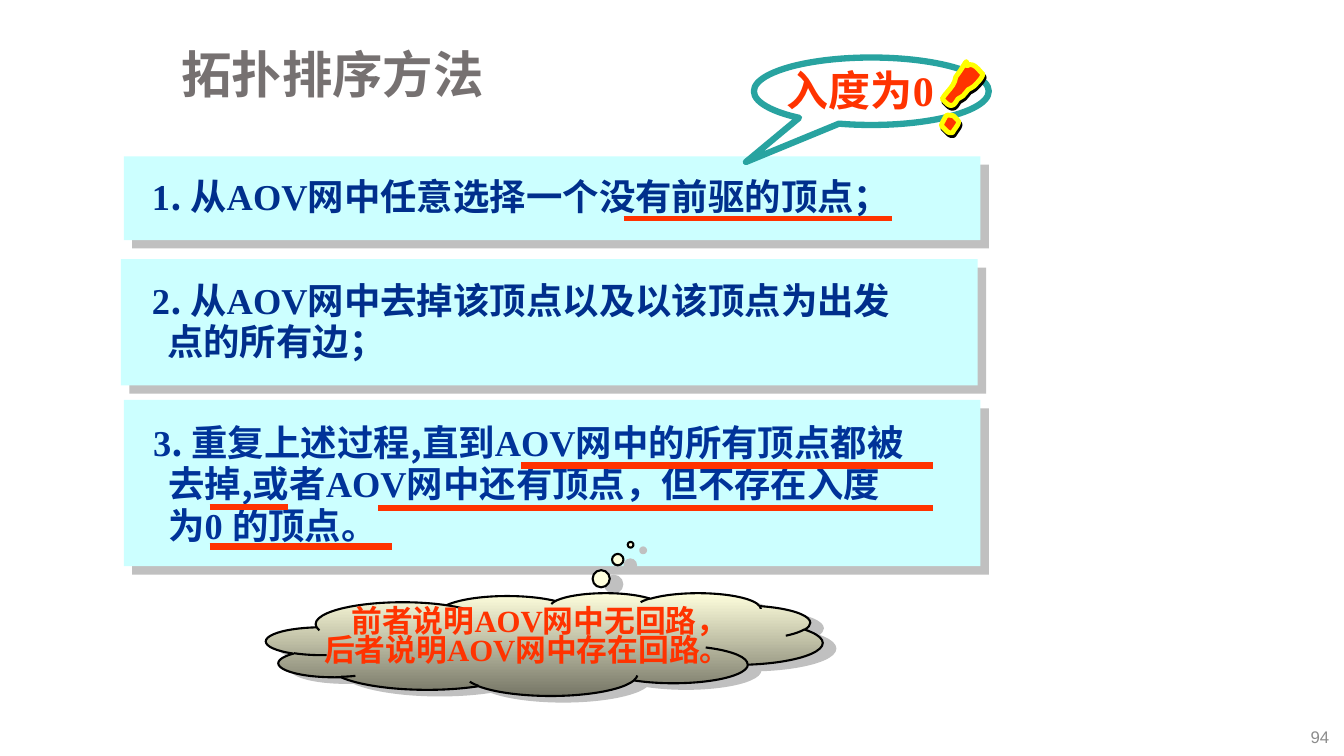
"""Build a slide on the topological sorting method."""
from lxml.etree import SubElement
from pptx import Presentation
from pptx.dml.color import RGBColor
from pptx.enum.shapes import MSO_CONNECTOR as Link, MSO_SHAPE as Shape
from pptx.enum.text import MSO_ANCHOR as Anchor, PP_ALIGN as Align
from pptx.oxml.ns import qn
from pptx.util import Cm, Pt

COLORS = {"title": "767171", "number": "8C8C8C", "panel": "CCFFFF", "shade": "C0C0C0",
          "navy": "002F8C", "blue": "003399", "red": "FF3300", "teal": "28A3A0",
          "yellow": "FFFF00", "cream": "FFFFDD", "olive": "767666",
          "black": "000000", "white": "FFFFFF"}
SANS, SERIF, CJK = "Arial", "Times New Roman", "Noto Sans CJK SC"

TITLE = [["拓扑排序方法"]]
NUMBER = [["94"]]
STEPS = [
    {"panel": (3.12, 3.94, 21.59, 2.11), "area": (3.12, 4.09, 21.79, 1.42),
     "color": "navy", "spacing": 1.15,
     "lines": [["1", ". 从", "AOV", "网中任意选择一个没有前驱的顶点；"]]},
    {"panel": (3.05, 6.53, 21.59, 3.18), "area": (3.12, 6.96, 21.79, 2.36),
     "color": "navy", "spacing": 0.95,
     "lines": [["2", ". 从", "AOV", "网中去掉该顶点以及以该顶点为出发"], ["点的所有边；"]]},
    {"panel": (3.12, 10.08, 21.59, 4.19), "area": (3.15, 10.54, 23.24, 3.4),
     "color": "blue", "spacing": 0.95,
     "lines": [["3", ". 重复上述过程,直到", "AOV", "网中的所有顶点都被"],
               ["去掉,或者", "AOV", "网中还有顶点，但不存在入度"],
               ["为", "0 ", "的顶点。"]]},
]
STEP_INDENTS = (0.46, 0.84, 0.84)
CALLOUT = [["入度为", "0"]]
CLOUD = [["前者说明", "AOV", "网中无回路，"], ["后者说明", "AOV", "网中存在回路。"]]
UNDERLINES = [(15.72, 22.48, 5.51, 4), (13.13, 23.52, 11.73, 4.5), (5.28, 7.26, 12.78, 4.5),
              (9.53, 23.52, 12.8, 4.5), (5.28, 9.88, 13.77, 4.5)]
MARK_STROKE = [(24.21, 1.65),
               (24.33, 1.5), (24.51, 1.65), (24.66, 1.73),
               (24.66, 1.85), (24.59, 1.98), (24.54, 2.08),
               (24.51, 2.13), (24.43, 2.21), (24.43, 2.21),
               (24.41, 2.26), (24.38, 2.34), (24.36, 2.39),
               (24.33, 2.44), (24.26, 2.51), (24.26, 2.51),
               (24.23, 2.59), (24.23, 2.69), (24.16, 2.72),
               (24.08, 2.77), (23.95, 2.67), (23.88, 2.64),
               (23.93, 2.41), (24.08, 2.24), (24.03, 2.01),
               (24.18, 1.57), (24.13, 1.45), (24.21, 1.65)]
MARK_DOT = [(23.95, 2.9),
            (23.75, 2.95), (23.8, 2.9), (23.75, 3.15),
            (23.75, 3.18), (23.75, 3.2), (23.75, 3.23),
            (23.77, 3.25), (23.88, 3.3), (23.88, 3.3),
            (23.93, 3.33), (23.98, 3.35), (24.03, 3.33),
            (24.06, 3.33), (24.08, 3.3), (24.08, 3.28),
            (24.1, 3.18), (24.16, 3.07), (24.13, 3),
            (24.11, 2.97), (23.95, 2.9), (23.95, 2.9)]


def rgb(name):
    return RGBColor.from_string(COLORS[name])


def fill_shadow(effects, color, distance, angle):
    shadow = SubElement(effects, qn("a:outerShdw"), dist=str(Pt(distance)),
                        dir=str(angle * 60000), algn="ctr", rotWithShape="0")
    SubElement(shadow, qn("a:srgbClr"), val=COLORS[color])


def style(shape, fill=None, line=None, width=1, shadow=None):
    shape.shadow.inherit = False
    if fill:
        shape.fill.solid()
        shape.fill.fore_color.rgb = rgb(fill)
    else:
        shape.fill.background()
    if line:
        shape.line.color.rgb = rgb(line)
        shape.line.width = Pt(width)
    else:
        shape.line.fill.background()
    if shadow:
        fill_shadow(shape._element.spPr.find(qn("a:effectLst")), *shadow)


def add_panel(page, kind, area, **look):
    shape = page.shapes.add_shape(kind, *map(Cm, area))
    style(shape, **look)
    return shape


def add_text(page, area, lines, size, color, bold=True, latin=None, spacing=1.0,
             indents=(0, 0, 0), anchor=Anchor.TOP, align=Align.LEFT, shadow=None):
    box = page.shapes.add_textbox(*map(Cm, area))
    frame = box.text_frame
    frame.word_wrap = True
    frame.vertical_anchor = anchor
    for index, (spans, indent) in enumerate(zip(lines, indents)):
        para = frame.paragraphs[0] if index == 0 else frame.add_paragraph()
        para.alignment = align
        para.line_spacing = spacing
        para.font.size = Pt(size)
        para.font.bold = bold
        para.font.color.rgb = rgb(color)
        para._p.get_or_add_pPr().set("marL", str(Cm(indent)))
        for text in spans:
            span = para.add_run()
            span.text = text
            plain = text.strip().isascii() and text.strip().isalnum()
            span.font.name = latin or (SERIF if plain else CJK)
            properties = span._r.get_or_add_rPr()
            SubElement(properties, qn("a:ea"), typeface=CJK)
            if shadow:
                effects = SubElement(properties, qn("a:effectLst"))
                fill_shadow(effects, *shadow)
                properties.insert(0, effects)


def flatten(points, steps=6):
    outline = [points[0]]
    for start in range(0, len(points) - 1, 3):
        a, b, c, d = points[start:start + 4]
        for step in range(1, steps + 1):
            t = step / steps
            weights = ((1 - t) ** 3, 3 * t * (1 - t) ** 2, 3 * t * t * (1 - t), t ** 3)
            outline.append(tuple(sum(w * v for w, v in zip(weights, axis))
                                 for axis in zip(a, b, c, d)))
    return [(Cm(x), Cm(y)) for x, y in outline]


def add_mark(page, points):
    outline = flatten(points)
    builder = page.shapes.build_freeform(*outline[0])
    builder.add_line_segments(outline[1:], close=True)
    mark = builder.convert_to_shape()
    mark.rotation = 18.4
    style(mark, "red", "yellow", 3.5, ("black", 2.2, 63))


def add_underline(page, left, right, height, width):
    line = page.shapes.add_connector(Link.STRAIGHT, Cm(left), Cm(height), Cm(right), Cm(height))
    line.line.color.rgb = rgb("red")
    line.line.width = Pt(width)
    SubElement(line._element.spPr, qn("a:effectLst"))


def add_cloud(page):
    cloud = add_panel(page, Shape.CLOUD_CALLOUT, (6.71, 14.94, 14.02, 2.59), fill="cream",
                      line="black", width=1.5, shadow=("shade", 9.8, 24))
    cloud.adjustments[0], cloud.adjustments[1] = 0.155, -0.968
    cloud.fill.gradient()
    cloud.fill.gradient_angle = 270
    for stop, color in zip(cloud.fill.gradient_stops, ("cream", "olive")):
        stop.color.rgb = rgb(color)
    add_text(page, (7.92, 15.21, 11.71, 1.75), CLOUD, 22, "red", spacing=0.8,
             indents=(0.69, 0), anchor=Anchor.MIDDLE, shadow=("white", 1.5, 45))


def main():
    deck = Presentation()
    deck.slide_width, deck.slide_height = Cm(33.87), Cm(19.05)
    page = deck.slides.add_slide(deck.slide_layouts[6])
    add_text(page, (4.32, 0.86, 28.58, 2.16), TITLE, 36, "title", latin=SANS,
             spacing=0.9, anchor=Anchor.MIDDLE)
    add_text(page, (32.56, 18.08, 1.19, 0.97), NUMBER, 12, "number", bold=False,
             latin=SANS, anchor=Anchor.MIDDLE, align=Align.RIGHT)
    for step in STEPS:
        add_panel(page, Shape.RECTANGLE, step["panel"], fill="panel", shadow=("shade", 8.5, 45))
        add_text(page, step["area"], step["lines"], 26, step["color"],
                 spacing=step["spacing"], indents=STEP_INDENTS)
    callout = add_panel(page, Shape.OVAL_CALLOUT, (19, 1.45, 5.92, 1.7), line="teal", width=4.5)
    callout.adjustments[0], callout.adjustments[1] = -0.534, 1.049
    add_text(page, (19.58, 1.5, 4.98, 1.52), CALLOUT, 30, "red", shadow=("black", 1.5, 45))
    for points in (MARK_STROKE, MARK_DOT):
        add_mark(page, points)
    for underline in UNDERLINES:
        add_underline(page, *underline)
    add_cloud(page)
    deck.save("out.pptx")


if __name__ == "__main__":
    main()
